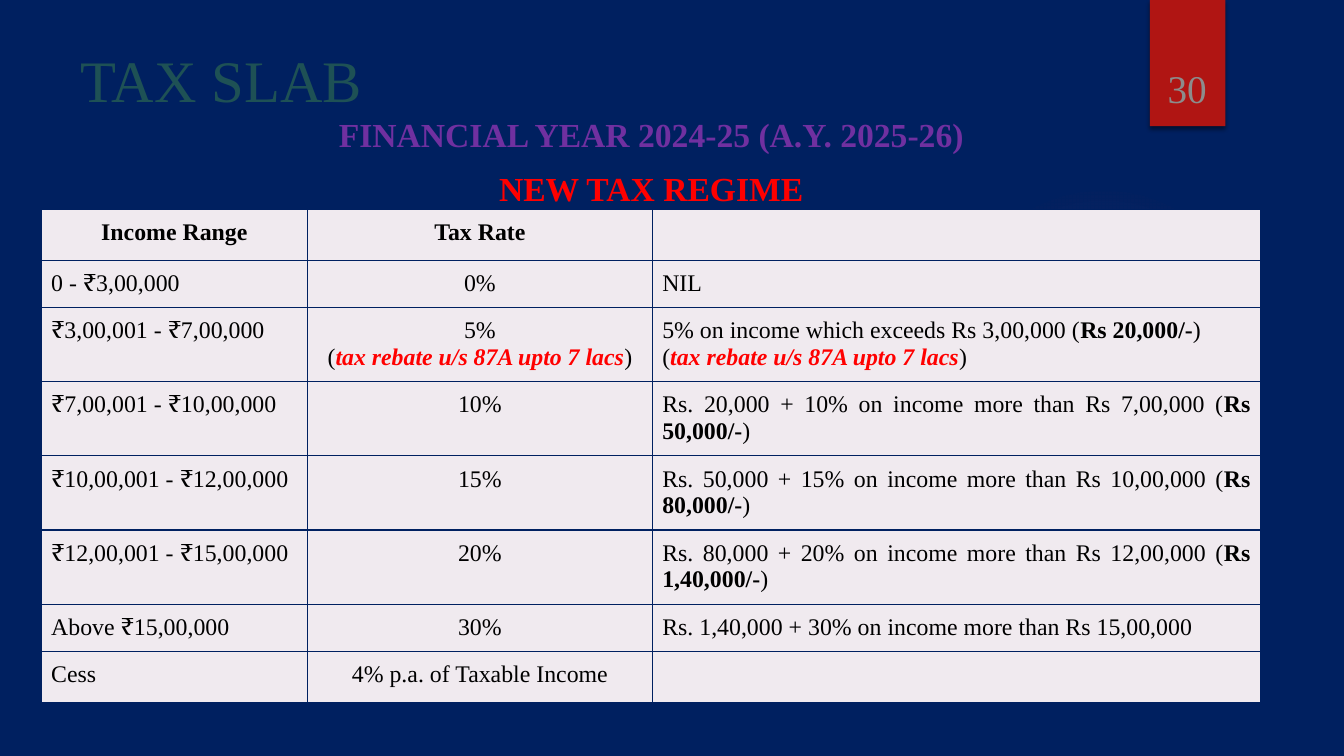
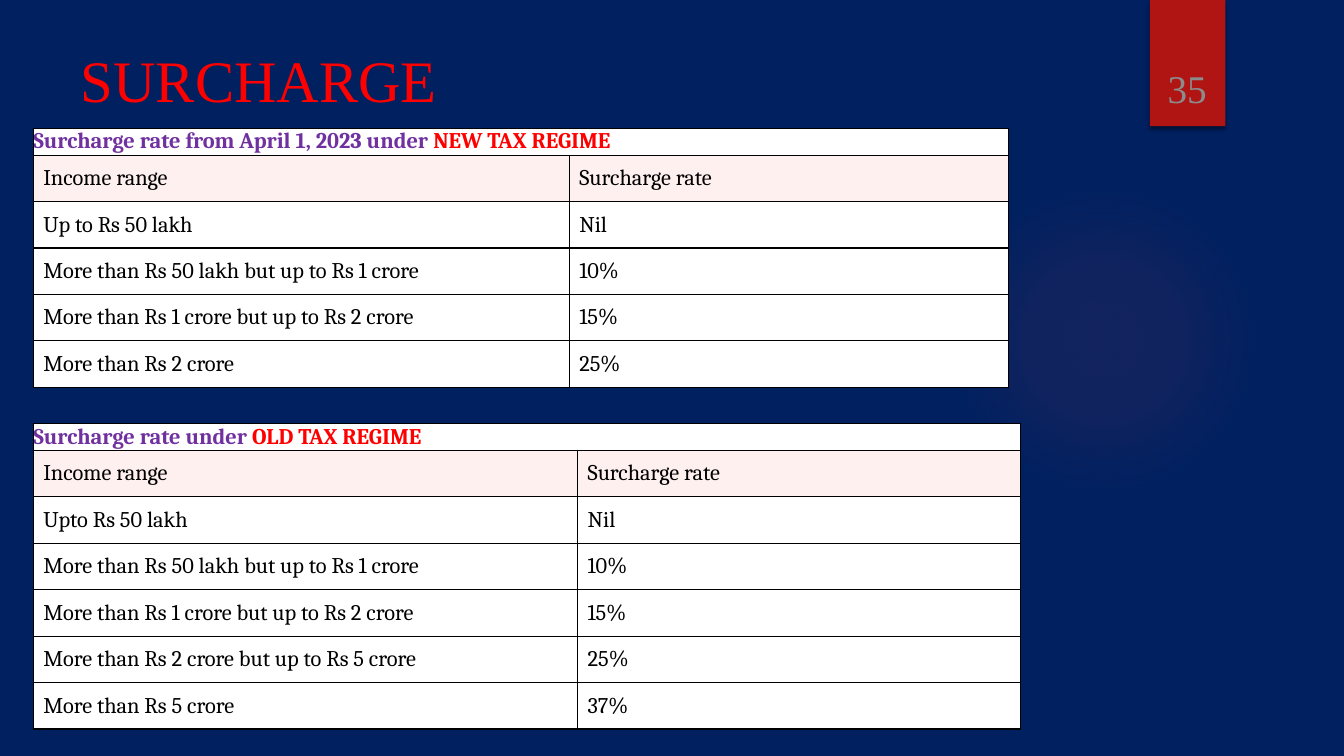
"""Build two slides on income tax slabs and surcharge rates."""
from dataclasses import dataclass

from lxml import etree
from pptx import Presentation
from pptx import util as u
from pptx.dml.color import RGBColor
from pptx.enum import shapes, text
from pptx.oxml import parse_xml
from pptx.oxml.ns import nsdecls, qn

LEFT, CENTER, JUSTIFY = text.PP_ALIGN.LEFT, text.PP_ALIGN.CENTER, text.PP_ALIGN.JUSTIFY
TOP, MIDDLE, BOTTOM = text.MSO_ANCHOR.TOP, text.MSO_ANCHOR.MIDDLE, text.MSO_ANCHOR.BOTTOM


@dataclass(frozen=True)
class Theme:
    navy: str = "002060"
    glow: str = "ED5654"
    ribbon: str = "B01513"
    number: str = "8C8C8C"
    green: str = "1E5155"
    purple: str = "7030A0"
    red: str = "FF0000"
    black: str = "000000"
    white: str = "FFFFFF"
    lilac: str = "F0EAEF"
    rose: str = "FFF0F0"
    serif: str = "Times New Roman"
    book: str = "Cambria"
    title_size: int = 42
    number_size: int = 28
    heading_size: int = 24
    slab_size: int = 17
    rate_size: int = 16


THEME = Theme()


class Deck:
    def __init__(self, theme):
        self.theme = theme
        self.deck = Presentation()
        self.deck.slide_width, self.deck.slide_height = u.Cm(33.87), u.Cm(19.05)
        self.slide = None

    def new_slide(self, layout, title, color, number):
        t = self.theme
        self.slide = self.deck.slides.add_slide(self.deck.slide_layouts[layout])
        background = self.slide.background.fill
        background.solid()
        background.fore_color.rgb = RGBColor.from_string(t.navy)
        heading = self.slide.shapes.title
        self.place(heading, 1.78, 1.02, 26.14, 1.96)
        self.frame(heading, MIDDLE)
        self.fill_line(heading.text_frame.paragraphs[0], title, t.title_size, color)
        self.glow()
        self.ribbon(number)

    def place(self, shape, *box):
        shape.left, shape.top, shape.width, shape.height = map(u.Cm, box)

    def frame(self, shape, anchor):
        shape.text_frame.word_wrap = True
        shape.text_frame.auto_size = text.MSO_AUTO_SIZE.NONE
        shape.text_frame.vertical_anchor = anchor

    def fill_line(self, paragraph, content, size, color, font=None, bold=False, align=LEFT):
        paragraph.alignment = align
        style = paragraph.font
        style.size, style.name, style.bold = u.Pt(size), font or self.theme.serif, bold
        style.color.rgb = RGBColor.from_string(color)
        for part in [content] if isinstance(content, str) else content:
            words, look = (part, {}) if isinstance(part, str) else part
            run = paragraph.add_run()
            run.text = words
            if "color" in look:
                run.font.color.rgb = RGBColor.from_string(look["color"])
            if "bold" in look:
                run.font.bold = look["bold"]
            if "italic" in look:
                run.font.italic = look["italic"]

    def plain_shape(self, kind, *box):
        shape = self.slide.shapes.add_shape(kind, *map(u.Cm, box))
        shape.shadow.inherit = False
        shape.line.fill.background()
        return shape

    def glow(self):
        halo = self.plain_shape(shapes.MSO_SHAPE.OVAL, 23.9, 4.65, 7.82, 7.82)
        stops = "".join(
            f'<a:gs pos="{at * 1000}"><a:srgbClr val="{self.theme.glow}">'
            f'<a:alpha val="{alpha * 1000}"/></a:srgbClr></a:gs>'
            for at, alpha in ((0, 7), (36, 6), (69, 0), (100, 0)))
        gradient = parse_xml(
            f'<a:gradFill {nsdecls("a")}><a:gsLst>{stops}</a:gsLst><a:path path="circle">'
            '<a:fillToRect l="50000" t="50000" r="50000" b="50000"/></a:path></a:gradFill>')
        halo._element.spPr.find(qn("a:prstGeom")).addnext(gradient)

    def ribbon(self, number):
        t = self.theme
        band = self.plain_shape(shapes.MSO_SHAPE.RECTANGLE, 28.98, 0, 1.9, 3.18)
        band.fill.solid()
        band.fill.fore_color.rgb = RGBColor.from_string(t.ribbon)
        band._element.spPr.find(qn("a:effectLst")).append(parse_xml(
            f'<a:outerShdw {nsdecls("a")} blurRad="38100" dist="25400" dir="5400000">'
            f'<a:srgbClr val="{t.black}"><a:alpha val="45000"/></a:srgbClr></a:outerShdw>'))
        label = self.slide.shapes.add_textbox(*map(u.Cm, (28.75, 0.81, 2.34, 2.13)))
        self.frame(label, BOTTOM)
        self.fill_line(label.text_frame.paragraphs[0], number, t.number_size, t.number,
                       align=CENTER)

    def subtitles(self, lines):
        body = self.slide.placeholders[1]
        self.place(body, 0.79, 2.74, 31.24, 2.54)
        self.frame(body, TOP)
        for index, (words, color) in enumerate(lines):
            line = body.text_frame.paragraphs[0] if index == 0 else body.text_frame.add_paragraph()
            line.space_before = u.Pt(10 if index else 0)
            properties = line._p.get_or_add_pPr()
            properties.set("marL", "0")
            properties.set("indent", "0")
            etree.SubElement(properties, qn("a:buNone"))
            self.fill_line(line, words, self.theme.heading_size, color, bold=True, align=CENTER)

    def table(self, left, top, widths, heights):
        box = map(u.Cm, (left, top, sum(widths), sum(heights)))
        grid = self.slide.shapes.add_table(len(heights), len(widths), *box).table
        grid.first_row = grid.horz_banding = False
        for column, width in zip(grid.columns, widths):
            column.width = u.Cm(width)
        for row, height in zip(grid.rows, heights):
            row.height = u.Cm(height)
        return grid

    def cell(self, cell, paragraphs, fill, border, anchor=TOP, inset=0.25, **style):
        cell.margin_left = cell.margin_right = cell.margin_top = cell.margin_bottom = u.Cm(inset)
        cell.vertical_anchor = anchor
        for side in "LRTB":
            cell._tc.get_or_add_tcPr().append(parse_xml(
                f'<a:ln{side} {nsdecls("a")} w="12700"><a:solidFill>'
                f'<a:srgbClr val="{border}"/></a:solidFill></a:ln{side}>'))
        cell.fill.solid()
        cell.fill.fore_color.rgb = RGBColor.from_string(fill)
        for index, content in enumerate(paragraphs):
            frame = cell.text_frame
            line = frame.paragraphs[0] if index == 0 else frame.add_paragraph()
            self.fill_line(line, content, **style)

    def slab_table(self, rows):
        t = self.theme
        heights = [1.87 if 2 <= index <= 5 else 1.19 for index in range(len(rows))]
        grid = self.table(1.04, 5.28, (6.71, 8.69, 15.32), heights)
        for r, row in enumerate(rows):
            for c, paragraphs in enumerate(row):
                self.cell(grid.cell(r, c), paragraphs, t.lilac, t.navy, size=t.slab_size,
                          color=t.black, bold=r == 0,
                          align=CENTER if r == 0 or c == 1 else JUSTIFY)

    def surcharge_table(self, top, widths, caption, regime, rates):
        t = self.theme
        rows = [("Income range", "Surcharge rate"), *rates]
        grid = self.table(0.84, top, widths, [0.68] + [1.17] * len(rows))
        common = dict(border=t.black, anchor=MIDDLE, size=t.rate_size, font=t.book)
        heading = [[caption, (regime, {"color": t.red})]]
        for c, paragraphs in enumerate((heading, [])):
            self.cell(grid.cell(0, c), paragraphs, t.white, inset=0,
                      color=t.purple, bold=True, **common)
        grid.cell(0, 0).merge(grid.cell(0, 1))
        for r, row in enumerate(rows, 1):
            for c, words in enumerate(row):
                self.cell(grid.cell(r, c), [words], t.rose if r == 1 else t.white,
                          color=t.black, **common)


def tax_on(base, rate, floor, total):
    return [[f"{base}{rate} on income {floor} (", (f"Rs {total}/-", {"bold": True}), ")"]]


def main():
    deck = Deck(THEME)
    rebate = ["(", ("tax rebate u/s 87A upto 7 lacs",
                    {"color": THEME.red, "bold": True, "italic": True}), ")"]

    deck.new_slide(1, "TAX SLAB", THEME.green, "30")
    deck.subtitles([("FINANCIAL YEAR 2024-25 (A.Y. 2025-26)", THEME.purple),
                    ("NEW TAX REGIME", THEME.red)])
    deck.slab_table([
        (["Income Range"], ["Tax Rate"], []),
        (["0 - ₹3,00,000"], ["0%"], ["NIL"]),
        (["₹3,00,001 - ₹7,00,000"], ["5%", rebate],
         tax_on("", "5%", "which exceeds Rs 3,00,000", "20,000") + [rebate]),
        (["₹7,00,001 - ₹10,00,000"], ["10%"],
         tax_on("Rs. 20,000 + ", "10%", "more than Rs 7,00,000", "50,000")),
        (["₹10,00,001 - ₹12,00,000"], ["15%"],
         tax_on("Rs. 50,000 + ", "15%", "more than Rs 10,00,000", "80,000")),
        (["₹12,00,001 - ₹15,00,000"], ["20%"],
         tax_on("Rs. 80,000 + ", "20%", "more than Rs 12,00,000", "1,40,000")),
        (["Above ₹15,00,000"], ["30%"],
         ["Rs. 1,40,000 + 30% on income more than Rs 15,00,000"]),
        (["Cess"], ["4% p.a. of Taxable Income"], []),
    ])

    deck.new_slide(5, "SURCHARGE", THEME.red, "35")
    middle_rates = [("More than Rs 50 lakh but up to Rs 1 crore", "10%"),
                    ("More than Rs 1 crore but up to Rs 2 crore", "15%")]
    deck.surcharge_table(
        3.23, (13.51, 11.07), "Surcharge rate from April 1, 2023 under ", "NEW TAX REGIME",
        [("Up to Rs 50 lakh", "Nil"), *middle_rates, ("More than Rs 2 crore", "25%")])
    deck.surcharge_table(
        10.67, (13.72, 11.15), "Surcharge rate under ", "OLD TAX REGIME",
        [("Upto Rs 50 lakh", "Nil"), *middle_rates,
         ("More than Rs 2 crore but up to Rs 5 crore", "25%"), ("More than Rs 5 crore", "37%")])

    deck.deck.save("out.pptx")


if __name__ == "__main__":
    main()
